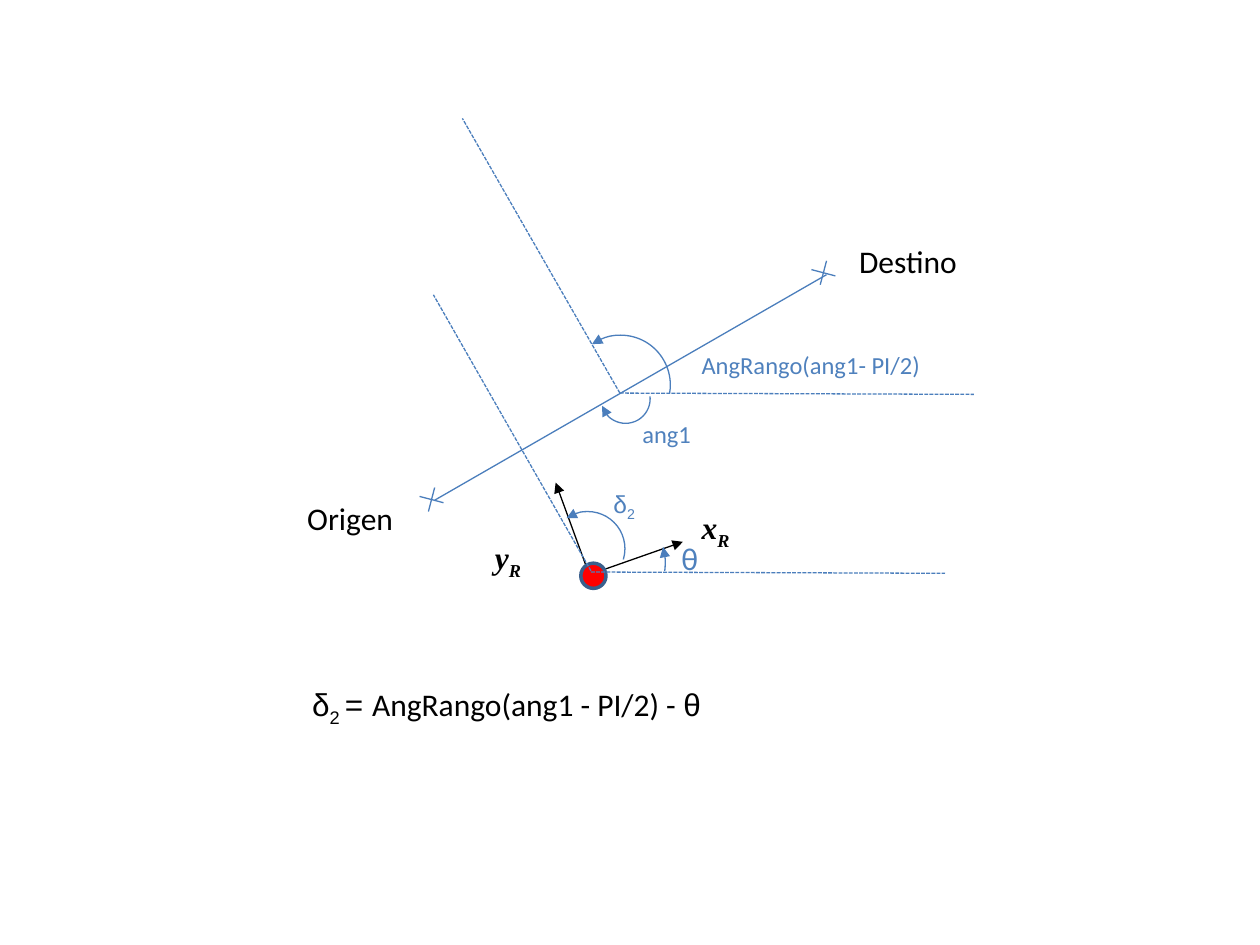
from pptx import Presentation
from pptx.dml.color import RGBColor
from pptx.enum.dml import MSO_LINE
from pptx.enum.shapes import MSO_CONNECTOR, MSO_SHAPE
from pptx.enum.text import MSO_AUTO_SIZE
from pptx.oxml.ns import qn
from pptx.util import Inches, Pt
from lxml import etree

STRAIGHT = MSO_CONNECTOR.STRAIGHT
ARC, OVAL = MSO_SHAPE.ARC, MSO_SHAPE.OVAL
DASH = MSO_LINE.SQUARE_DOT
FIT = MSO_AUTO_SIZE.SHAPE_TO_FIT_TEXT

THEME = {
    "line": "4B7EBC", "label": "4F81BD", "black": "000000",
    "robot": "FF0000", "robot_edge": "3A5F8C",
    "thin": 0.75, "thick": 2, "big": 18, "small": 14,
    "sans": "Calibri", "greek": "Arial", "axis": "Times New Roman",
}

# Path from origin to destination, with a cross at each end
PATH = ((3.45, 3.97), (6.56, 2.18))
CROSSES = [(6.535, 2.165), (3.425, 3.965)]
CROSS_ARMS = [(0.025, -0.095), (-0.095, -0.025)]

# Dashed reference lines: start, end
GUIDES = [
    ((4.92, 3.12), (7.73, 3.13)),
    ((4.69, 4.54), (7.5, 4.55)),
    ((4.69, 4.53), (3.44, 2.34)),
    ((4.92, 3.12), (3.67, 0.94)),
]

# Robot axes: start, end with arrowhead
AXES = [((4.68, 4.56), (5.42, 4.3)), ((4.68, 4.57), (4.41, 3.83))]
ROBOT = (4.61, 4.47, 0.2)

# Angle arcs: left, top, diameter, start and end in degrees, arrow end
ARCS = [
    (4.3, 3.98, 0.98, 344.68, 7.16, "headEnd"),
    (4.77, 2.97, 0.39, 354.25, 163.47, "tailEnd"),
    (4.53, 2.66, 0.79, 235.03, 9.74, "headEnd"),
    (4.37, 4.06, 0.59, 235.03, 16.82, "headEnd"),
]

# Labels: left, top, width, size, colour, runs of (text, font, subscript)
LABELS = [
    (2.34, 3.91, 1.17, "big", "black", [("Origen", "sans", False)]),
    (6.72, 1.87, 1.17, "big", "black", [("Destino", "sans", False)]),
    (2.38, 5.39, 3.67, "big", "black", [
        ("δ", "greek", False), ("2 ", "greek", True), ("= ", "greek", False),
        ("AngRango(ang1 - PI/2) - ", "sans", False), ("θ", "greek", False)]),
    (3.83, 4.22, 0.55, "big", "black", [("y", "axis", False), ("R", "axis", True)]),
    (5.47, 3.98, 0.55, "big", "black", [("x", "axis", False), ("R", "axis", True)]),
    (5.31, 4.23, 0.78, "big", "label", [("θ", "sans", False)]),
    (5, 3.28, 0.86, "small", "label", [("ang1", "sans", False)]),
    (5.47, 2.73, 2.03, "small", "label", [("AngRango(ang1- PI/2)", "sans", False)]),
    (4.77, 3.83, 0.86, "small", "label", [("δ", "greek", False), ("2", "greek", True)]),
]
BOX_HEIGHT = {"big": 0.4, "small": 0.34}


def color(name):
    return RGBColor.from_string(THEME[name])


def style_line(shape, name="line", width="thin", arrow=None):
    shape.line.color.rgb = color(name)
    shape.line.width = Pt(THEME[width])
    if arrow:
        etree.SubElement(shape.line._get_or_add_ln(), qn("a:" + arrow), type="triangle")


def add_line(shapes, start, end, name="line", dashed=False, arrow=None):
    c = shapes.add_connector(STRAIGHT, *(Inches(v) for v in (*start, *end)))
    style_line(c, name)
    if dashed:
        c.line.dash_style = DASH
    if arrow:
        etree.SubElement(c.line._get_or_add_ln(), qn("a:" + arrow), type="triangle")
    etree.SubElement(c._element.spPr, qn("a:effectLst"))


def add_round(shapes, kind, left, top, size):
    sp = shapes.add_shape(kind, *(Inches(v) for v in (left, top, size, size)))
    sp.shadow.inherit = False
    return sp


def add_arc(shapes, left, top, size, start, end, arrow):
    sp = add_round(shapes, ARC, left, top, size)
    # One adjustment unit is 100000 / 60000 degrees
    for i, degrees in enumerate((start, end)):
        sp.adjustments[i] = degrees * 0.6
    sp.fill.background()
    style_line(sp, arrow=arrow)


def add_label(shapes, left, top, width, size, name, runs):
    box = shapes.add_textbox(*(Inches(v) for v in (left, top, width, BOX_HEIGHT[size])))
    tf = box.text_frame
    tf.word_wrap = True
    tf.auto_size = FIT
    p = tf.paragraphs[0]
    for text, font, subscript in runs:
        r = p.add_run()
        r.text = text
        r.font.name = THEME[font]
        r.font.size = Pt(THEME[size])
        r.font.color.rgb = color(name)
        if font == "axis":
            r.font.bold = r.font.italic = True
        if subscript:
            r.font._element.set("baseline", "-25000")


prs = Presentation()
prs.slide_width, prs.slide_height = Inches(10), Inches(7.5)
s = prs.slides.add_slide(prs.slide_layouts[6])

# Path and its end crosses
path_group = s.shapes.add_group_shape().shapes
for x, y in CROSSES:
    for dx, dy in CROSS_ARMS:
        add_line(path_group, (x + dx, y + dy), (x - dx, y - dy))
add_line(path_group, *PATH)

# Robot axes and body
axes_group = s.shapes.add_group_shape().shapes
for start, end in AXES:
    add_line(axes_group, start, end, "black", arrow="tailEnd")
robot = add_round(s.shapes, OVAL, *ROBOT)
robot.fill.solid()
robot.fill.fore_color.rgb = color("robot")
style_line(robot, "robot_edge", "thick")

# Reference lines, angles and labels
for start, end in GUIDES:
    add_line(s.shapes, start, end, dashed=True)
for arc in ARCS:
    add_arc(s.shapes, *arc)
for label in LABELS:
    add_label(s.shapes, *label)

prs.save("out.pptx")
